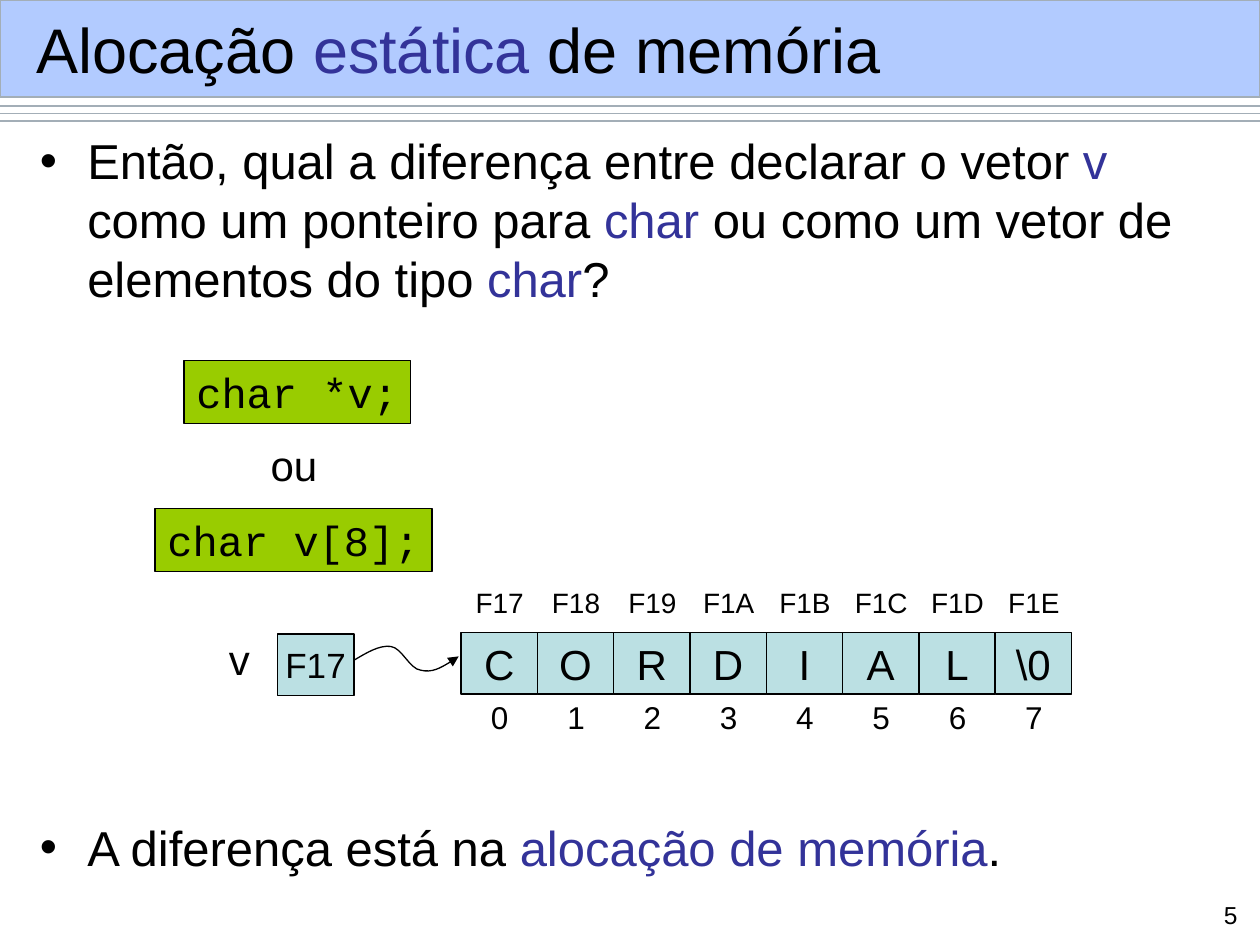
from lxml import etree
from pptx import Presentation
from pptx.dml.color import RGBColor
from pptx.enum.shapes import MSO_CONNECTOR, MSO_SHAPE
from pptx.enum.text import MSO_ANCHOR, PP_ALIGN
from pptx.oxml.ns import qn
from pptx.util import Pt

COLORS = {"black": "000000", "accent": "333399", "band": "6699FF", "rule": "A3AEB7",
          "code": "99CC00", "cell": "BBE0E3"}

# Runs are (text, color name)
TITLE = [("Alocação ", "black"), ("estática", "accent"), (" de memória", "black")]
QUESTION = [
    ("Então, qual a diferença entre declarar o vetor ", "black"), ("v", "accent"),
    (" como um ponteiro para ", "black"), ("char", "accent"),
    (" ou como um vetor de elementos do tipo ", "black"), ("char", "accent"), ("?", "black"),
]
ANSWER = [("A diferença está na ", "black"), ("alocação de memória", "accent"), (".", "black")]
DECLARATIONS = [("char *v;", (105.1, 205.9, 129.6, 36)),
                ("char v[8];", (88.6, 290.7, 158.2, 36))]
MEMORY = [("F17", "C"), ("F18", "O"), ("F19", "R"), ("F1A", "D"),
          ("F1B", "I"), ("F1C", "A"), ("F1D", "L"), ("F1E", "\\0")]

RULE_TOPS = (60.5, 64.8, 69.1)
CELL_LEFT, CELL_TOP, CELL_WIDTH, CELL_HEIGHT = 263.5, 361.4, 43.6, 35.3
POINTER_BOX = (158.4, 362.2, 43.9, 35.3)
# Start point, then two control points and an end point for each curve
ARROW = [(202.3, 377.3), (209.5, 373), (216.7, 368.6), (223.2, 369.4),
         (229.7, 370.1), (234, 382.3), (240.5, 383),
         (247, 384.5), (254.9, 380.2), (262.1, 375.1)]

presentation = Presentation()
presentation.slide_width, presentation.slide_height = Pt(720), Pt(540)
slide = presentation.slides.add_slide(presentation.slide_layouts[6])


def rgb(name):
    return RGBColor.from_string(COLORS[name])


def set_line(shape, color):
    shape.line.color.rgb = rgb(color)
    shape.line.width = Pt(0.75)


def add_bullet(paragraph):
    properties = paragraph._p.get_or_add_pPr()
    properties.set("marL", str(Pt(27)))
    properties.set("indent", str(-Pt(27)))
    color = etree.SubElement(properties, qn("a:buClr"))
    etree.SubElement(color, qn("a:srgbClr"), val=COLORS["black"])
    etree.SubElement(properties, qn("a:buFont"), typeface="Arial")
    etree.SubElement(properties, qn("a:buChar"), char="•")


def add_text(paragraphs, box, size=24, font="Arial", fill=None, align=PP_ALIGN.LEFT,
             anchor=MSO_ANCHOR.TOP, wrap=False, bullets=False, gap=0):
    """Add a text box, or a rectangle when there is a fill; gap parts the paragraphs."""
    box = [Pt(length) for length in box]
    if fill:
        shape = slide.shapes.add_shape(MSO_SHAPE.RECTANGLE, *box)
        shape.shadow.inherit = False
        shape.fill.solid()
        shape.fill.fore_color.rgb = rgb(fill)
        set_line(shape, "black")
    else:
        shape = slide.shapes.add_textbox(*box)
    frame = shape.text_frame
    frame.word_wrap = wrap
    frame.vertical_anchor = anchor
    frame.margin_left = frame.margin_right = Pt(7.2)
    frame.margin_top = frame.margin_bottom = Pt(3.6)
    if isinstance(paragraphs, str):
        paragraphs = [[(paragraphs, "black")]]
    for index, runs in enumerate(paragraphs):
        paragraph = frame.add_paragraph() if index else frame.paragraphs[0]
        paragraph.alignment = align
        paragraph.line_spacing = Pt(1.2 * size)
        if index:
            paragraph.space_before = Pt(gap)
        if bullets:
            add_bullet(paragraph)
        for text, color in runs:
            run = paragraph.add_run()
            run.text = text
            run.font.size, run.font.name = Pt(size), font
            run.font.color.rgb = rgb(color)


def add_header():
    for top in RULE_TOPS:
        rule = slide.shapes.add_connector(MSO_CONNECTOR.STRAIGHT, 0, Pt(top), Pt(720), Pt(top))
        set_line(rule, "rule")
        etree.SubElement(rule._element.spPr, qn("a:effectLst"))
    band = slide.shapes.add_shape(MSO_SHAPE.RECTANGLE, 0, 0, Pt(720), Pt(55.5))
    band.shadow.inherit = False
    band.fill.solid()
    band.fill.fore_color.rgb = rgb("band")
    color = band._element.spPr.find(qn("a:solidFill"))[0]
    etree.SubElement(color, qn("a:alpha"), val="50000")
    set_line(band, "rule")


def add_curved_arrow(points):
    """Draw the points as a polyline, then merge each three segments into a Bézier curve."""
    points = [(Pt(x), Pt(y)) for x, y in points]
    builder = slide.shapes.build_freeform(*points[0])
    builder.add_line_segments(points[1:], close=False)
    arrow = builder.convert_to_shape()
    arrow.shadow.inherit = False
    arrow.fill.background()
    set_line(arrow, "black")
    etree.SubElement(arrow.line._get_or_add_ln(), qn("a:tailEnd"), type="triangle")
    outline = next(arrow._element.iter(qn("a:pathLst")))[0]
    segments = outline.findall(qn("a:lnTo"))
    for start in range(0, len(segments), 3):
        curve = etree.SubElement(outline, qn("a:cubicBezTo"))
        for segment in segments[start:start + 3]:
            curve.append(segment[0])
            outline.remove(segment)


add_header()
add_text([TITLE], (13.7, 6.5, 694, 42.5), size=36, anchor=MSO_ANCHOR.MIDDLE, wrap=True)
add_text([QUESTION, ANSWER], (15.8, 71.3, 687, 449.3), size=28, wrap=True,
         bullets=True, gap=291.5)
for code, box in DECLARATIONS:
    add_text(code, box, font="Courier New", fill="code")
add_text("ou", (147.6, 247.7, 41, 36))
add_text("v", (123.8, 358.6, 25.9, 36))

centered = {"fill": "cell", "align": PP_ALIGN.CENTER, "anchor": MSO_ANCHOR.MIDDLE}
add_text(MEMORY[0][0], POINTER_BOX, size=20, **centered)
add_curved_arrow(ARROW)
for index, (address, letter) in enumerate(MEMORY):
    left = CELL_LEFT + index * CELL_WIDTH
    add_text(letter, (left, CELL_TOP, CELL_WIDTH, CELL_HEIGHT), **centered)
    add_text(address, (left - 1.4, 331.2, 47, 26.4), size=16, align=PP_ALIGN.CENTER)
    add_text(str(index), (left + 10, 395.3, 24.5, 28.8), size=18)

add_text("5", (676.8, 510.5, 37.4, 23), size=14, align=PP_ALIGN.RIGHT, wrap=True)

presentation.save("out.pptx")
